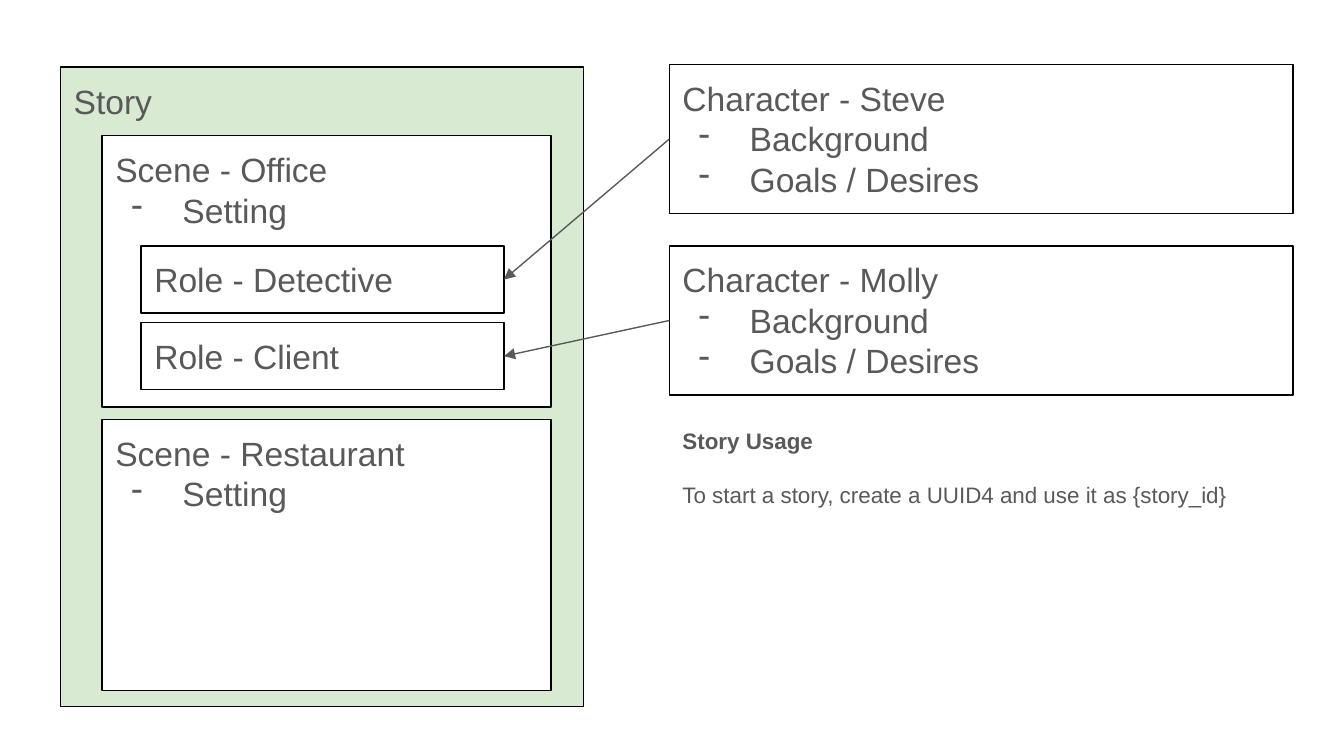
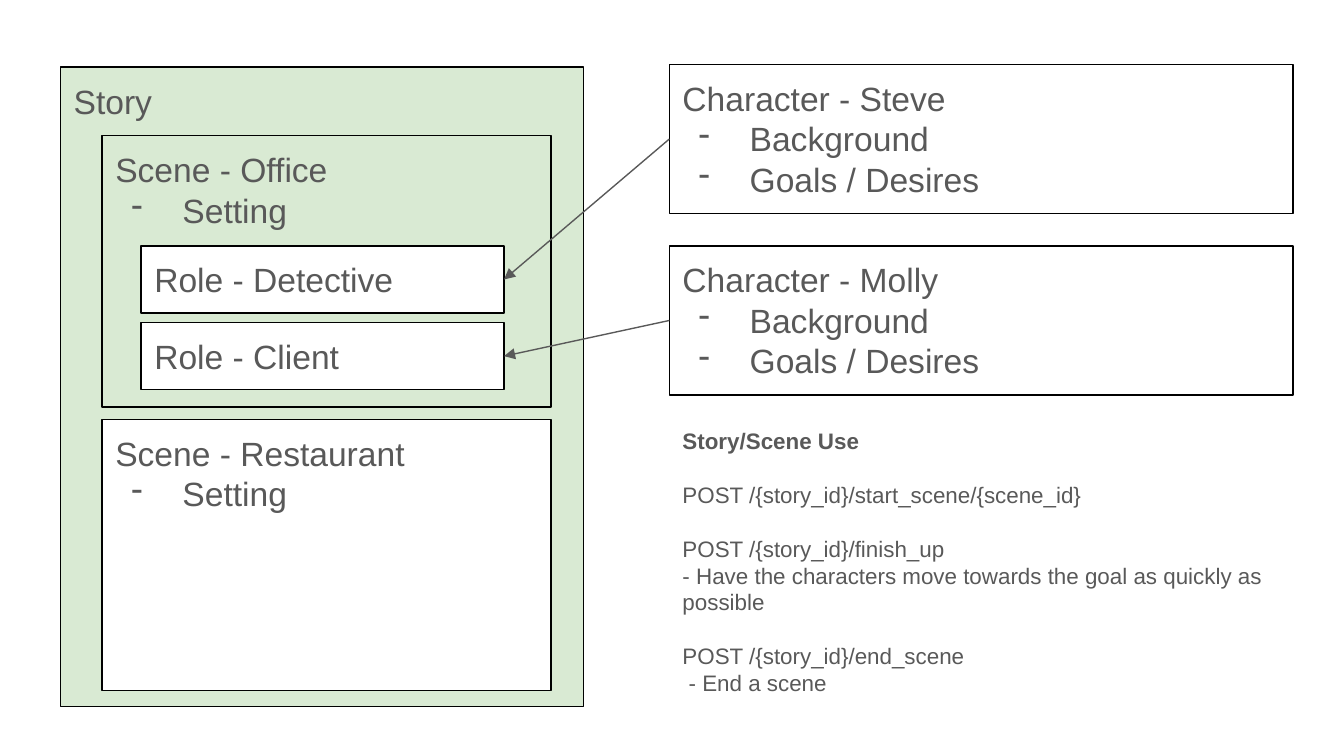
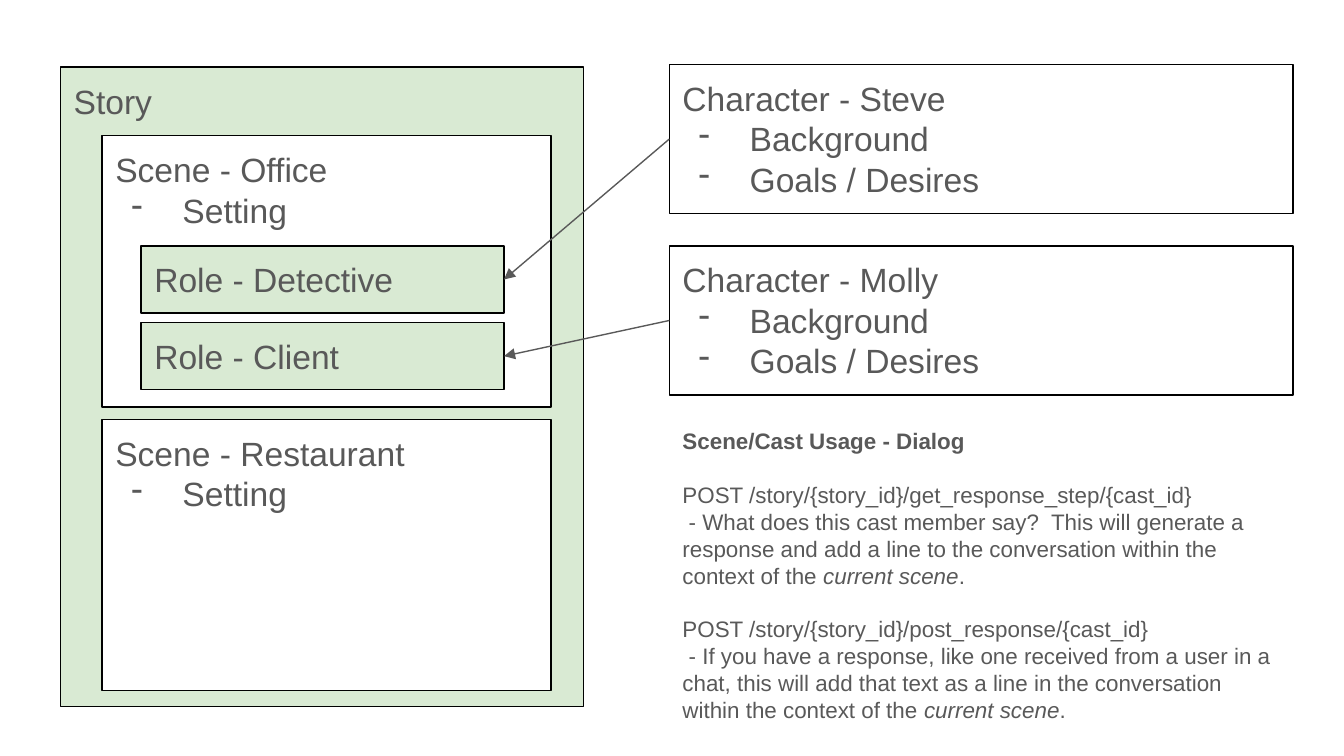
from dataclasses import dataclass

from lxml.etree import SubElement
from pptx import Presentation
from pptx.dml.color import RGBColor
from pptx.enum.shapes import MSO_CONNECTOR, MSO_SHAPE
from pptx.enum.text import MSO_ANCHOR, MSO_AUTO_SIZE, PP_ALIGN
from pptx.oxml.ns import qn
from pptx.util import Inches, Pt


@dataclass(frozen=True)
class Theme:
    """Colours, type sizes and spacing shared by every slide."""

    font: str = "Arial"
    text: str = "595959"
    outline: str = "000000"
    plain: str = "FFFFFF"
    highlight: str = "D9EAD3"
    label_size: float = 18
    note_size: float = 12
    note_gap: float = 14.4
    line_width: float = 0.75
    inset: float = 0.1
    bullet_margin: float = 0.5
    bullet_indent: float = -0.38


@dataclass(frozen=True)
class Box:
    """A rectangle in grid units, a hundred columns to the slide's width."""

    left: float
    top: float
    width: float
    height: float

    def inside(self, left, top, width, height):
        """Return a box placed from this box's top left corner."""
        return Box(self.left + left, self.top + top, width, height)

    def lengths(self):
        """Return left, top, width and height as slide lengths."""
        return [Inches(units * SLIDE_WIDTH / COLUMNS)
                for units in (self.left, self.top, self.width, self.height)]


THEME = Theme()
SLIDE_WIDTH, SLIDE_HEIGHT, COLUMNS = 10, 5.625, 100
STORY_BOX = Box(4.5, 5, 38.9, 47.6)
CAST_BOX = Box(49.8, 4.8, 46.4, 49.7)
SCENE_PITCH, ROLE_PITCH, CHARACTER_PITCH = 21.1, 5.7, 13.5
ROLES = ("Role - Detective", "Role - Client")
CHARACTERS = ("Character - Steve", "Character - Molly")
TRAITS = ("Background", "Goals / Desires")

SLIDES = (
    {
        "scene_fill": THEME.plain,
        "role_fill": None,
        "heading": "Story Usage",
        "blocks": [["To start a story, create a UUID4 and use it as {story_id}"]],
    },
    {
        "scene_fill": THEME.highlight,
        "role_fill": THEME.plain,
        "heading": "Story/Scene Use",
        "blocks": [
            ["POST /{story_id}/start_scene/{scene_id}"],
            ["POST /{story_id}/finish_up",
             "- Have the characters move towards the goal as quickly as possible"],
            ["POST /{story_id}/end_scene", " - End a scene"],
        ],
    },
    {
        "scene_fill": THEME.plain,
        "role_fill": THEME.highlight,
        "heading": "Scene/Cast Usage - Dialog",
        "blocks": [
            ["POST /story/{story_id}/get_response_step/{cast_id}",
             " - What does this cast member say?  This will generate a response and add a "
             "line to the conversation within the context of the *current scene*."],
            ["POST /story/{story_id}/post_response/{cast_id}",
             " - If you have a response, like one received from a user in a chat, this will "
             "add that text as a line in the conversation within the context of the "
             "*current scene*."],
        ],
    },
)


def apply(target, values):
    """Set each attribute named in values on the target."""
    for name, value in values.items():
        setattr(target, name, value)


def format_frame(frame, auto_size):
    """Give a text frame the shared insets, wrapping and anchor."""
    margins = {f"margin_{side}": Inches(THEME.inset)
               for side in ("left", "top", "right", "bottom")}
    apply(frame, {**margins, "word_wrap": True, "auto_size": auto_size,
                  "vertical_anchor": MSO_ANCHOR.TOP})


def write_paragraph(frame, text, size, bold=False, gap=0):
    """Add a paragraph, with text between asterisks in italics."""
    first = frame.paragraphs[0]
    paragraph = frame.add_paragraph() if first.runs else first
    apply(paragraph, {"alignment": PP_ALIGN.LEFT, "space_before": Pt(gap)})
    for index, piece in enumerate(text.split("*")):
        run = paragraph.add_run()
        run.text = piece
        apply(run.font, {"name": THEME.font, "size": Pt(size),
                         "bold": bold, "italic": index % 2 == 1})
        run.font.color.rgb = RGBColor.from_string(THEME.text)
    return paragraph


def add_dash(paragraph):
    """Turn a paragraph into a dash list item."""
    properties = paragraph._p.get_or_add_pPr()
    properties.set("marL", str(Inches(THEME.bullet_margin)))
    properties.set("indent", str(Inches(THEME.bullet_indent)))
    colour = SubElement(properties, qn("a:buClr"))
    SubElement(colour, qn("a:srgbClr"), val=THEME.text)
    SubElement(properties, qn("a:buChar"), char="-")


def add_card(slide, box, label, items=(), fill=None, auto_size=MSO_AUTO_SIZE.SHAPE_TO_FIT_TEXT):
    """Draw an outlined rectangle with a label and dash items."""
    shape = slide.shapes.add_shape(MSO_SHAPE.RECTANGLE, *box.lengths())
    shape.shadow.inherit = False
    if fill:
        shape.fill.solid()
        shape.fill.fore_color.rgb = RGBColor.from_string(fill)
    else:
        shape.fill.background()
    shape.line.color.rgb = RGBColor.from_string(THEME.outline)
    shape.line.width = Pt(THEME.line_width)
    format_frame(shape.text_frame, auto_size)
    write_paragraph(shape.text_frame, label, THEME.label_size)
    for item in items:
        add_dash(write_paragraph(shape.text_frame, item, THEME.label_size))
    return shape


def add_arrow(slide, character, role):
    """Join a character's left side to a role's right side."""
    connector = slide.shapes.add_connector(MSO_CONNECTOR.STRAIGHT, 0, 0, 0, 0)
    connector.begin_connect(character, 1)
    connector.end_connect(role, 3)
    connector.line.color.rgb = RGBColor.from_string(THEME.text)
    connector.line.width = Pt(THEME.line_width)
    SubElement(connector.line._get_or_add_ln(), qn("a:tailEnd"), type="triangle")
    SubElement(connector._element.spPr, qn("a:effectLst"))


def add_story(slide, box, scene_fill, role_fill):
    """Draw the story with its two scenes and return the role cards."""
    add_card(slide, box, "Story", fill=THEME.highlight, auto_size=MSO_AUTO_SIZE.NONE)
    office, restaurant = [box.inside(3.1, 5.1 + row * SCENE_PITCH, 33.4, 20.2)
                          for row in range(2)]
    add_card(slide, office, "Scene - Office", ["Setting"], scene_fill)
    add_card(slide, restaurant, "Scene - Restaurant", ["Setting"], THEME.plain)
    return [add_card(slide, office.inside(2.9, 8.2 + row * ROLE_PITCH, 27, 5), role, fill=role_fill)
            for row, role in enumerate(ROLES)]


def add_characters(slide, box):
    """Stack the character cards from the top of the box."""
    return [add_card(slide, box.inside(0, row * CHARACTER_PITCH, box.width, 11.1), name, TRAITS)
            for row, name in enumerate(CHARACTERS)]


def add_notes(slide, box, heading, blocks):
    """Write the usage notes in the lower part of the box."""
    notes = slide.shapes.add_textbox(*box.inside(0, 26, box.width, 23.7).lengths())
    frame = notes.text_frame
    format_frame(frame, MSO_AUTO_SIZE.NONE)
    write_paragraph(frame, heading, THEME.note_size, bold=True)
    for block in blocks:
        for index, line in enumerate(block):
            write_paragraph(frame, line, THEME.note_size, gap=0 if index else THEME.note_gap)


def add_story_slide(presentation, scene_fill, role_fill, heading, blocks):
    """Build one slide from the story, the cast and the usage notes."""
    slide = presentation.slides.add_slide(presentation.slide_layouts[6])
    roles = add_story(slide, STORY_BOX, scene_fill, role_fill)
    characters = add_characters(slide, CAST_BOX)
    for character, role in zip(characters, roles):
        add_arrow(slide, character, role)
    add_notes(slide, CAST_BOX, heading, blocks)


def main():
    """Build and save the presentation."""
    presentation = Presentation()
    apply(presentation, {"slide_width": Inches(SLIDE_WIDTH), "slide_height": Inches(SLIDE_HEIGHT)})
    for content in SLIDES:
        add_story_slide(presentation, **content)
    presentation.save("out.pptx")


if __name__ == "__main__":
    main()
